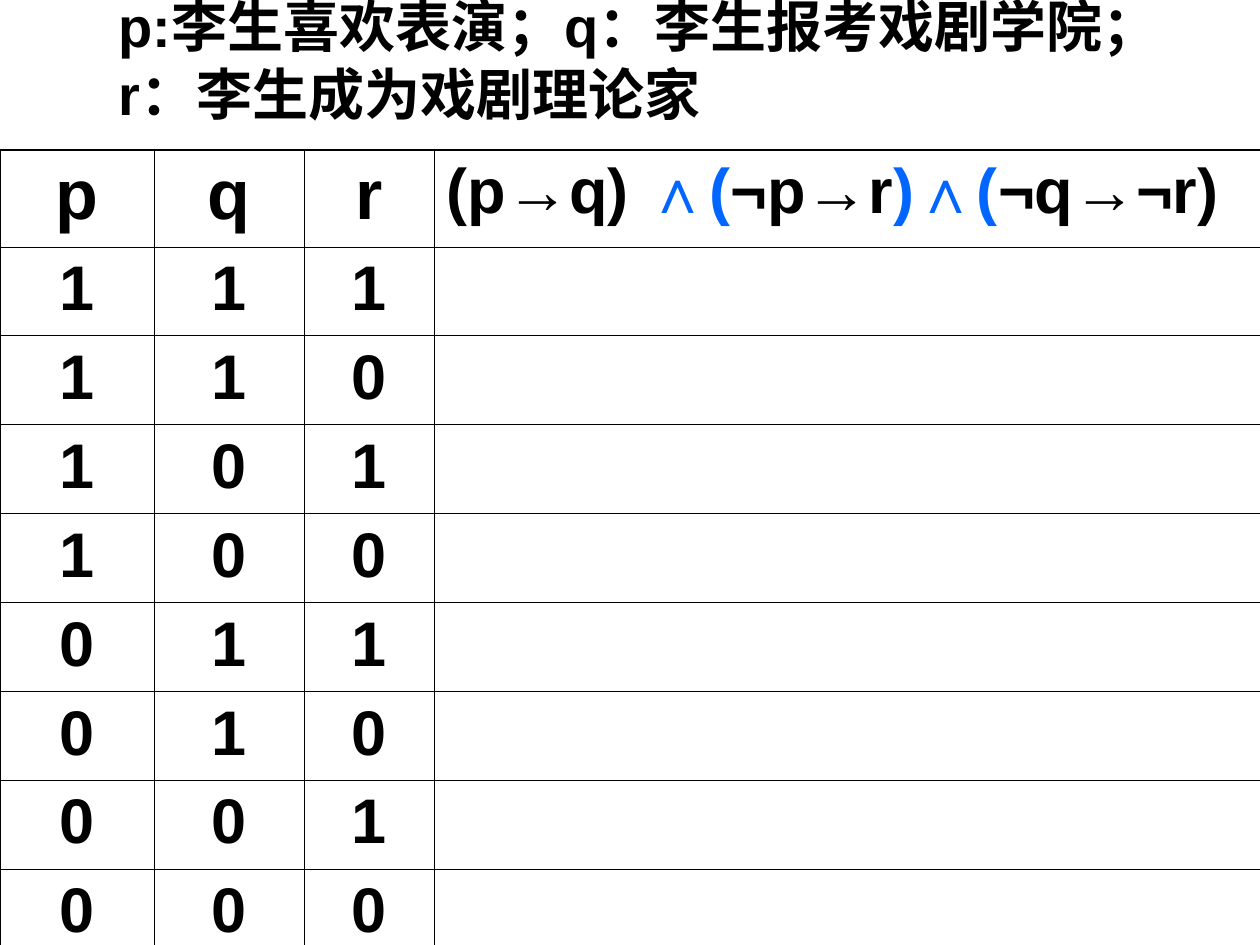
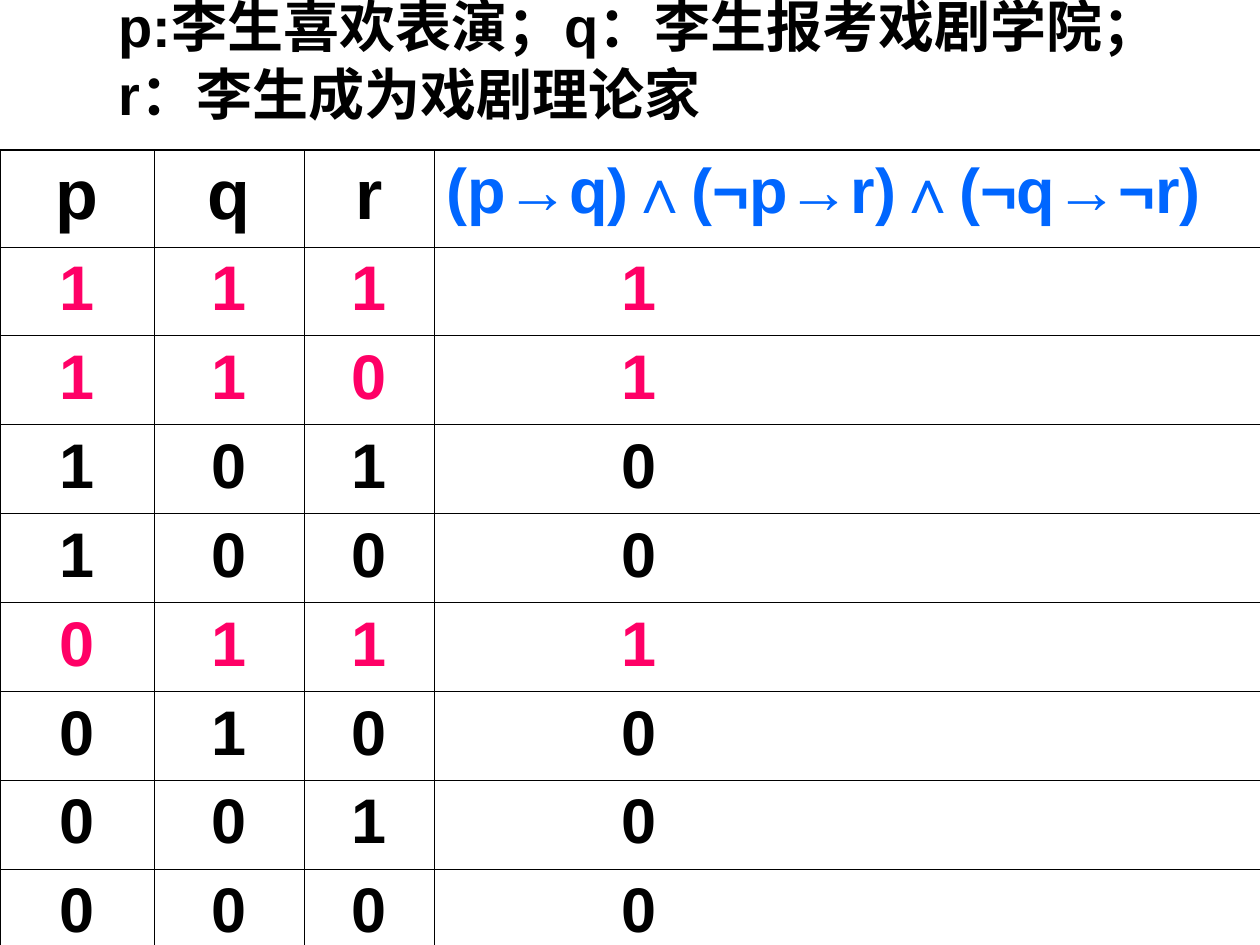
from itertools import product

from lxml.etree import SubElement
from pptx import Presentation
from pptx.dml.color import RGBColor
from pptx.enum.text import MSO_ANCHOR, PP_ALIGN
from pptx.oxml.ns import qn
from pptx.util import Pt

BLACK = RGBColor(0x00, 0x00, 0x00)
BLUE = RGBColor(0x00, 0x66, 0xFF)
PINK = RGBColor(0xFF, 0x00, 0x66)

FONT = "Arial"
THIN, THICK = 0.45, 1.08
COLS = (88.2, 85.7, 74.3, 476.8)
HEAD, ROW = 55.4, 50.85
INDENT = 100

TITLE = ("p:李生喜欢表演；q：李生报考戏剧学院；", "r：李生成为戏剧理论家")
PLAIN = (
    ("(p→q) ", BLACK), ("∧(", BLUE), ("¬p→r", BLACK),
    (")∧(", BLUE), ("¬q→¬r)", BLACK),
)
SOLID = (("(p→q)∧(¬p→r)∧(¬q→¬r)", BLUE),)


def holds(p, q, r):
    return int((not p or q) and (p or r) and (q or not r))


class Deck:
    def __init__(self):
        self.prs = Presentation()
        self.prs.slide_width, self.prs.slide_height = Pt(720), Pt(540)
        self.slide = None

    def page(self):
        self.slide = self.prs.slides.add_slide(self.prs.slide_layouts[6])

    def run(self, para, text, size, color):
        run = para.add_run()
        run.text = text
        font = run.font
        font.name, font.size, font.bold = FONT, Pt(size), True
        font.color.rgb = color

    def indent(self, para, left):
        props = para._p.get_or_add_pPr()
        props.set("marL", str(Pt(left)))
        props.set("indent", "0")

    def title(self, lines):
        box = self.slide.shapes.add_textbox(Pt(25.2), Pt(0), Pt(672.5), Pt(67.7))
        frame = box.text_frame
        frame.word_wrap = True
        frame.vertical_anchor = MSO_ANCHOR.MIDDLE
        para = frame.paragraphs[0]
        self.indent(para, 35.6)
        for num, line in enumerate(lines):
            if num:
                para.add_line_break()
            self.run(para, line, 32, BLACK)

    def grid(self, rows):
        height = HEAD + ROW * (rows - 1)
        frame = self.slide.shapes.add_table(
            rows, len(COLS), Pt(0), Pt(85.7), Pt(sum(COLS)), Pt(height))
        table = frame.table
        table.first_row = table.horz_banding = False
        for col, width in zip(table.columns, COLS):
            col.width = Pt(width)
        for num, row in enumerate(table.rows):
            row.height = Pt(ROW if num else HEAD)
            for col, cell in enumerate(row.cells):
                self.edge(cell, {
                    "a:lnL": col == 0, "a:lnR": col == len(COLS) - 1,
                    "a:lnT": num == 0, "a:lnB": num == rows - 1})
                cell.fill.background()
        return table

    def edge(self, cell, sides):
        props = cell._tc.get_or_add_tcPr()
        for tag, outer in sides.items():
            line = SubElement(props, qn(tag), w=str(Pt(THICK if outer else THIN)))
            fill = SubElement(line, qn("a:solidFill"))
            SubElement(fill, qn("a:srgbClr"), val=str(BLACK))

    def cell(self, cell, runs, size=36, left=None):
        para = cell.text_frame.paragraphs[0]
        if left is None:
            para.alignment = PP_ALIGN.CENTER
        else:
            self.indent(para, left)
        for text, color in runs:
            self.run(para, text, size, color)

    def truth(self, formula, solved):
        cases = list(product((1, 0), repeat=3))
        table = self.grid(len(cases) + 1)
        for col, name in enumerate("pqr"):
            self.cell(table.cell(0, col), [(name, BLACK)], size=40)
        self.cell(table.cell(0, 3), formula, left=0)
        for row, case in enumerate(cases, 1):
            value = holds(*case)
            color = PINK if solved and value else BLACK
            for col, bit in enumerate(case):
                self.cell(table.cell(row, col), [(str(bit), color)])
            if solved:
                self.cell(table.cell(row, 3), [(str(value), color)], left=INDENT)


def main():
    deck = Deck()
    for formula, solved in ((PLAIN, False), (SOLID, True)):
        deck.page()
        deck.title(TITLE)
        deck.truth(formula, solved)
    deck.prs.save("out.pptx")


if __name__ == "__main__":
    main()
